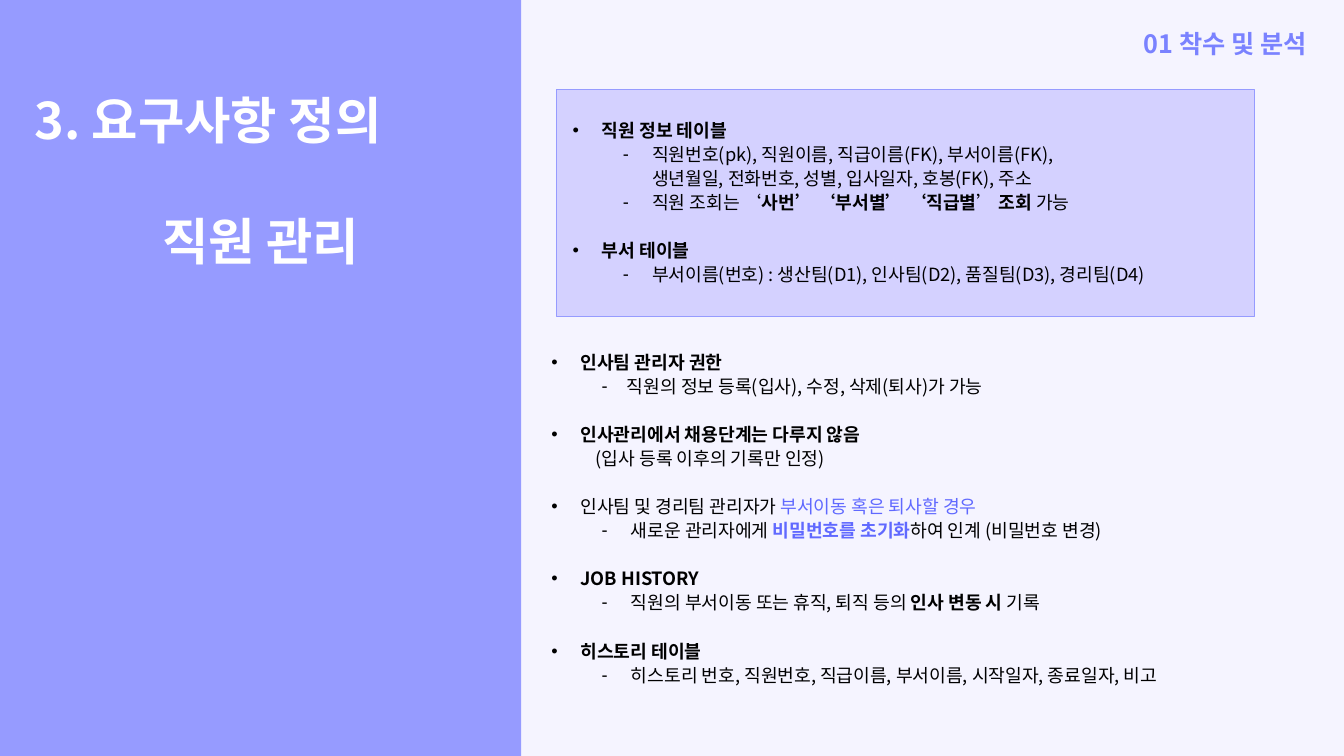
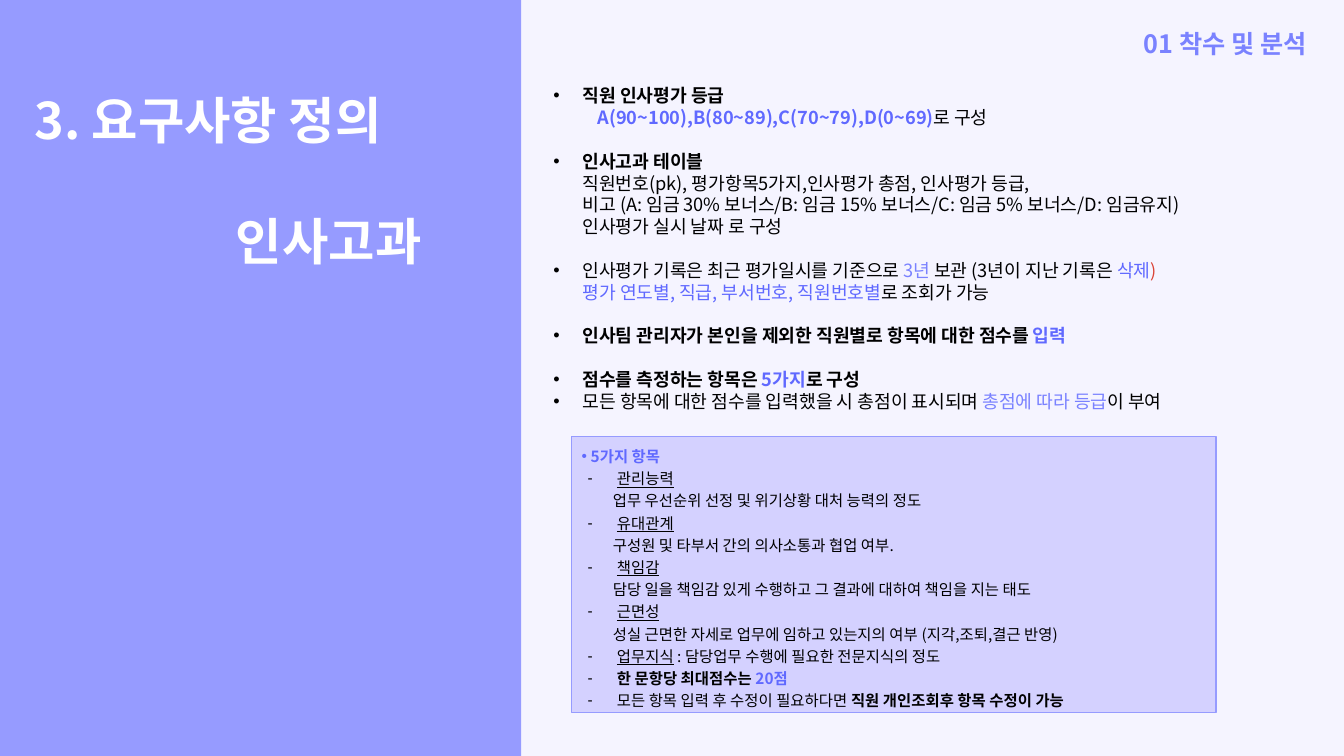
from lxml import etree
from pptx import Presentation
from pptx.dml.color import RGBColor
from pptx.enum.shapes import MSO_SHAPE
from pptx.enum.text import MSO_ANCHOR, MSO_AUTO_SIZE, PP_ALIGN
from pptx.oxml.ns import qn
from pptx.util import Inches, Pt

RECTANGLE = MSO_SHAPE.RECTANGLE
TOP = MSO_ANCHOR.TOP
LEFT, RIGHT = PP_ALIGN.LEFT, PP_ALIGN.RIGHT
NO_AUTOSIZE = MSO_AUTO_SIZE.NONE

FONT = "Noto Sans CJK KR"
COLORS = {
    "background": "F5F4FF",
    "band": "969BFF",
    "panel": "D4D1FF",
    "white": "FFFFFF",
    "black": "000000",
    "violet": "6069FF",
    "light": "7A82FF",
    "red": "DB4437",
}

# Paragraph kinds: left margin, first-line indent (inches), bullet
KINDS = {
    "plain": (0, 0, None),
    "head": (0.35, -0.29, "•"),
    "under_head": (0.35, 0, None),
    "note": (0.5, 0, None),
    "item": (0.85, -0.29, "-"),
    "close_item": (0.81, -0.25, "-"),
    "under_item": (0.85, 0, None),
    "panel_title": (0.09, -0.09, "•"),
    "panel_item": (0.35, -0.29, "-"),
    "panel_detail": (0.31, 0, None),
    "staff_title": (1.27, 0, None),
    "review_title": (2, 0, None),
}

# Content: (kind, runs); a run is text or (text, styles); GAP leaves one line free
GAP = "gap"
SECTION = "01 착수 및 분석"
TITLE = "3. 요구사항 정의"

STAFF_TABLES = [
    ("head", [("직원 정보 테이블", "bold")]),
    ("item", ["직원번호(pk), 직원이름, 직급이름(FK), 부서이름(FK),"]),
    ("under_item", ["생년월일, 전화번호, 성별, 입사일자, 호봉(FK), 주소"]),
    ("item", ["직원 조회는 ‘", ("사번’ ‘부서별’ ‘직급별", "bold"), "’ ",
              ("조회", "bold"), " 가능"]),
    GAP,
    ("head", [("부서 테이블", "bold")]),
    ("item", ["부서이름(번호) : 생산팀(D1), 인사팀(D2), 품질팀(D3), 경리팀(D4)"]),
]

STAFF_RULES = [
    ("head", [("인사팀 관리자 권한", "bold")]),
    ("close_item", ["직원의 정보 등록(입사), 수정, 삭제(퇴사)가 가능"]),
    GAP,
    ("head", [("인사관리에서 채용단계는 다루지 않음", "bold")]),
    ("note", ["(입사 등록 이후의 기록만 인정)"]),
    GAP,
    ("head", ["인사팀 및 경리팀 관리자가 ", ("부서이동 혹은 퇴사할 경우", "violet")]),
    ("item", ["새로운 관리자에게 ", ("비밀번호를 초기화", "bold violet"),
              "하여 인계 (비밀번호 변경)"]),
    GAP,
    ("head", [("JOB HISTORY", "bold")]),
    ("item", ["직원의 부서이동 또는 휴직, 퇴직 등의 ", ("인사 변동 시", "bold"), " 기록"]),
    GAP,
    ("head", [("히스토리 테이블", "bold")]),
    ("item", ["히스토리 번호, 직원번호, 직급이름, 부서이름, 시작일자, 종료일자, 비고"]),
]

REVIEW_RULES = [
    ("head", [("직원 인사평가 등급", "bold")]),
    ("note", [("A(90~100),B(80~89),C(70~79),D(0~69)", "bold violet"), "로 구성"]),
    GAP,
    ("head", [("인사고과 테이블", "bold")]),
    ("under_head", ["직원번호(pk), 평가항목5가지,인사평가 총점, 인사평가 등급,"]),
    ("under_head", ["비고 (A: 임금 30% 보너스/B: 임금 15% 보너스/C: 임금 5% 보너스/D: 임금유지)"]),
    ("under_head", ["인사평가 실시 날짜 로 구성"]),
    GAP,
    ("head", ["인사평가 기록은 최근 평가일시를 기준으로 ", ("3년 ", "light"),
              "보관 (3년이 지난 기록은 ", ("삭제", "violet"), (")", "red")]),
    ("under_head", [("평가 연도별, 직급, 부서번호, 직원번호별", "violet"), "로 조회가 가능"]),
    GAP,
    ("head", [("인사팀 관리자가 본인을 제외한 직원별로 항목에 대한 점수를 ", "bold"),
              ("입력", "bold violet")]),
    GAP,
    ("head", [("점수를 측정하는 항목은 ", "bold"), ("5가지", "bold violet"),
              ("로 구성", "bold")]),
    ("head", ["모든 항목에 대한 점수를 입력했을 시 총점이 표시되며 ",
              ("총점에 따라 등급", "light"), "이 부여"]),
]

REVIEW_ITEMS = [
    ("panel_title", [("5가지 항목", "bold violet")]),
    ("panel_item", [("관리능력", "underline")]),
    ("panel_detail", ["업무 우선순위 선정 및 위기상황 대처 능력의 정도"]),
    ("panel_item", [("유대관계", "underline")]),
    ("panel_detail", ["구성원 및 타부서 간의 의사소통과 협업 여부."]),
    ("panel_item", [("책임감", "underline")]),
    ("panel_detail", ["담당 일을 책임감 있게 수행하고 그 결과에 대하여 책임을 지는 태도"]),
    ("panel_item", [("근면성", "underline")]),
    ("panel_detail", ["성실 근면한 자세로 업무에 임하고 있는지의 여부 (지각,조퇴,결근 반영)"]),
    ("panel_item", [("업무지식", "underline"), " : 담당업무 수행에 필요한 전문지식의 정도"]),
    ("panel_item", [("한 문항당 최대점수는", "bold"), (" 20점", "bold violet")]),
    ("panel_item", ["모든 항목 입력 후 수정이 필요하다면 ",
                    ("직원 개인조회후 항목 수정이 가능", "bold")]),
]

# Each block: box (left, top, width, height), text, format, panel line width or None
SLIDES = [
    (("staff_title", ["직원 관리"]), [
        ((5.52, 0.89, 6.92, 2.25), STAFF_TABLES,
         {"size": 13, "line": 17.2, "inset": 0.27}, 0.75),
        ((5.31, 3.41, 7.64, 3.45), STAFF_RULES, {"size": 13, "line": 17.2}, None),
    ]),
    (("review_title", ["인사고과"]), [
        ((5.33, 0.79, 7.73, 3.38), REVIEW_RULES, {"size": 13, "line": 15.6}, None),
        ((5.67, 4.33, 6.39, 2.74), REVIEW_ITEMS,
         {"size": 11, "line": 15.84, "inset": 0.07}, 1),
    ]),
]


def rgb(name):
    return RGBColor.from_string(COLORS[name])


def add_bullet(paragraph, character):
    properties = paragraph._p.get_or_add_pPr()
    etree.SubElement(properties, qn("a:buFont")).set("typeface", "Arial")
    etree.SubElement(properties, qn("a:buChar")).set("char", character)


def write_text(shape, content, size, line, color="black", bold=False,
               align=LEFT, inset=0.05):
    frame = shape.text_frame
    frame.word_wrap = True
    frame.auto_size = NO_AUTOSIZE
    frame.vertical_anchor = TOP
    frame.margin_left = frame.margin_right = Inches(0.1)
    frame.margin_top, frame.margin_bottom = Inches(inset), Inches(0.05)
    paragraph, gap = None, 0
    for entry in content:
        if entry == GAP:
            gap = line
            continue
        kind, runs = entry
        paragraph = frame.add_paragraph() if paragraph else frame.paragraphs[0]
        paragraph.alignment = align
        paragraph.line_spacing = Pt(line)
        paragraph.space_before, paragraph.space_after = Pt(gap), Pt(0)
        gap = 0
        margin, indent, bullet = KINDS[kind]
        properties = paragraph._p.get_or_add_pPr()
        properties.set("marL", str(Inches(margin)))
        properties.set("indent", str(Inches(indent)))
        if bullet:
            add_bullet(paragraph, bullet)
        for part in runs:
            text, styles = (part, "") if isinstance(part, str) else part
            styles = styles.split()
            run = paragraph.add_run()
            run.text = text
            font = run.font
            font.size, font.name = Pt(size), FONT
            font.bold = bold or "bold" in styles
            font.underline = "underline" in styles
            font.color.rgb = rgb(next((s for s in styles if s in COLORS), color))
            east_asian = etree.Element(qn("a:ea"), typeface=FONT)
            font._element.find(qn("a:latin")).addnext(east_asian)


def add_rectangle(slide, box, fill, line_width=None):
    shape = slide.shapes.add_shape(RECTANGLE, *map(Inches, box))
    shape.shadow.inherit = False
    shape.fill.solid()
    shape.fill.fore_color.rgb = rgb(fill)
    if line_width:
        shape.line.color.rgb = rgb("band")
        shape.line.width = Pt(line_width)
    else:
        shape.line.fill.background()
    return shape


def add_text_box(slide, box):
    return slide.shapes.add_textbox(*map(Inches, box))


def add_slide(presentation, subtitle):
    slide = presentation.slides.add_slide(presentation.slide_layouts[5])
    add_rectangle(slide, (0, 0, 5.17, 7.5), "band")

    # Title, in front of the band
    title = slide.shapes.title
    slide.shapes._spTree.append(title._element)
    title.left, title.top, title.width, title.height = map(
        Inches, (0.24, 0.83, 4.9, 1.92))
    write_text(title, [("plain", [TITLE]), GAP, subtitle],
               size=36, line=43.2, color="white", bold=True)

    # Section name
    write_text(add_text_box(slide, (10.06, 0.23, 3, 0.4)), [("plain", [SECTION])],
               size=18, line=21.6, color="light", bold=True, align=RIGHT)
    return slide


def main():
    presentation = Presentation()
    presentation.slide_width, presentation.slide_height = Inches(13.33), Inches(7.5)
    background = presentation.slide_master.background.fill
    background.solid()
    background.fore_color.rgb = rgb("background")

    for subtitle, blocks in SLIDES:
        slide = add_slide(presentation, subtitle)
        for box, content, text_format, line_width in blocks:
            if line_width:
                shape = add_rectangle(slide, box, "panel", line_width)
            else:
                shape = add_text_box(slide, box)
            write_text(shape, content, **text_format)
    presentation.save("out.pptx")


if __name__ == "__main__":
    main()
